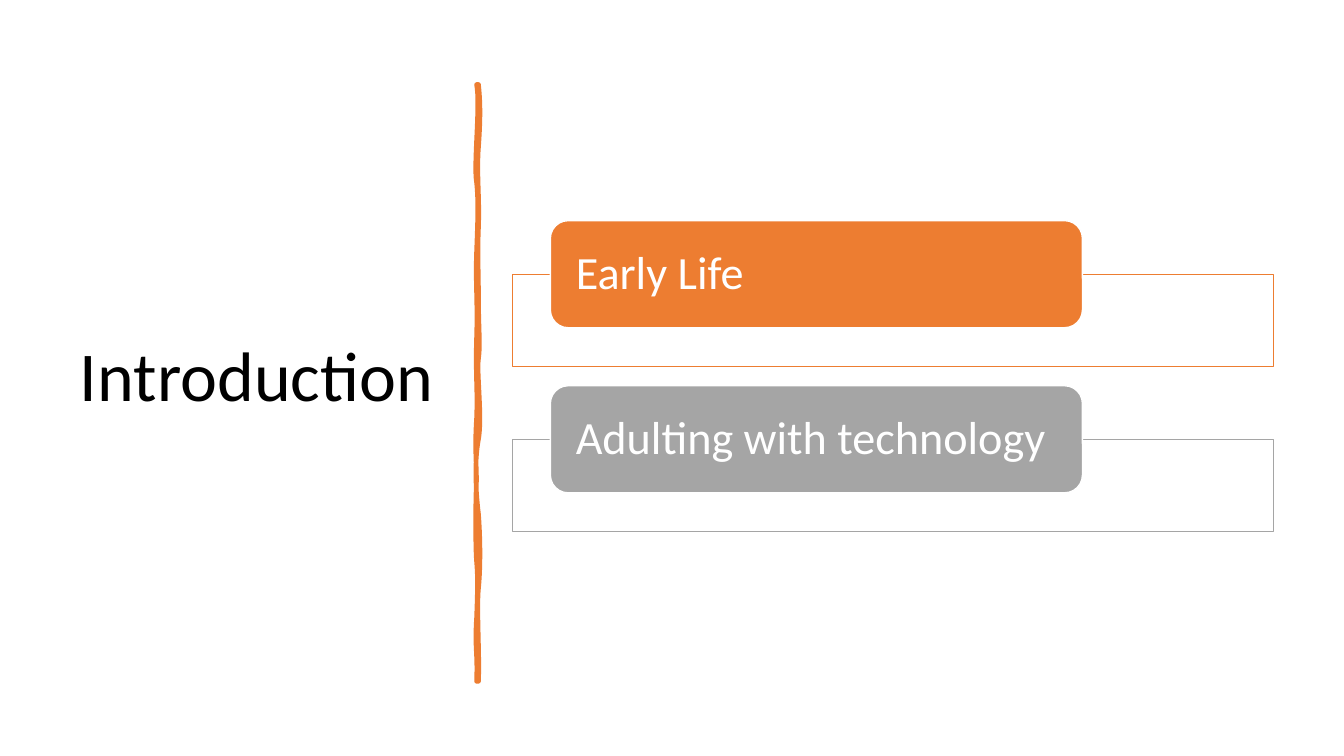
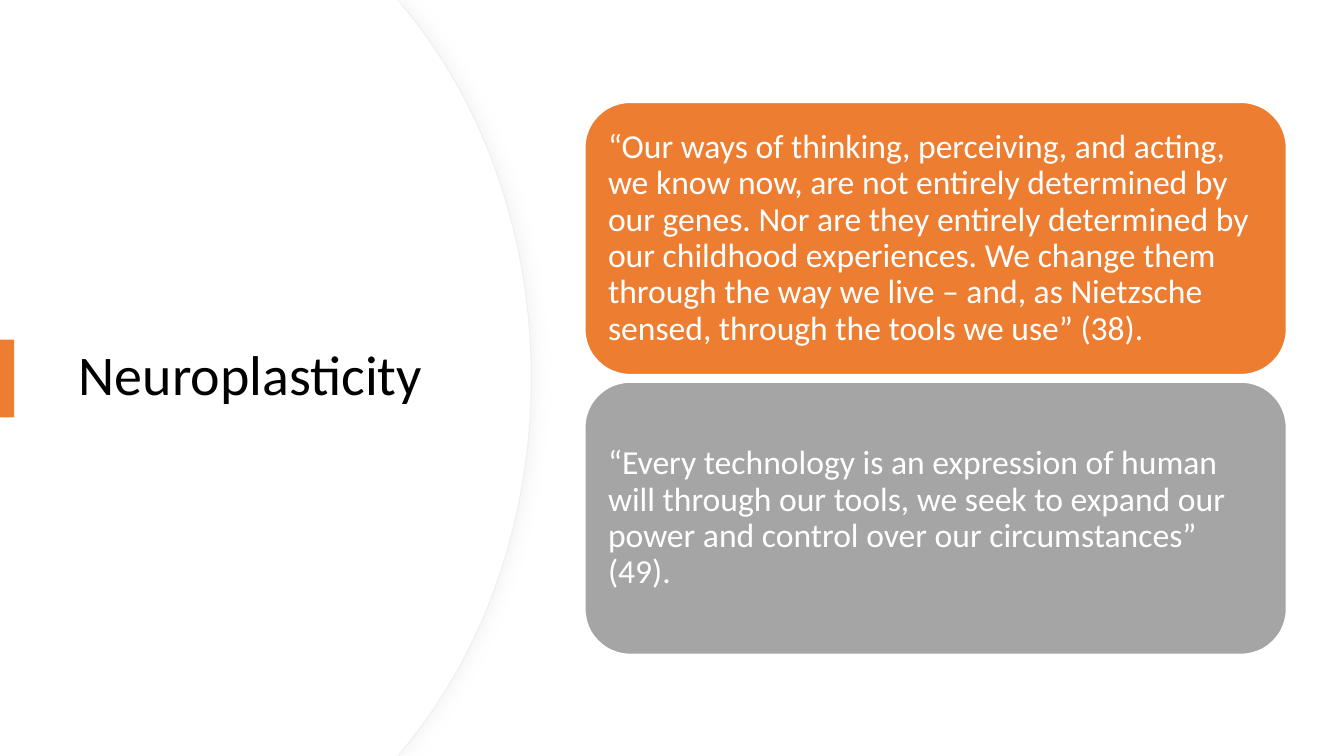
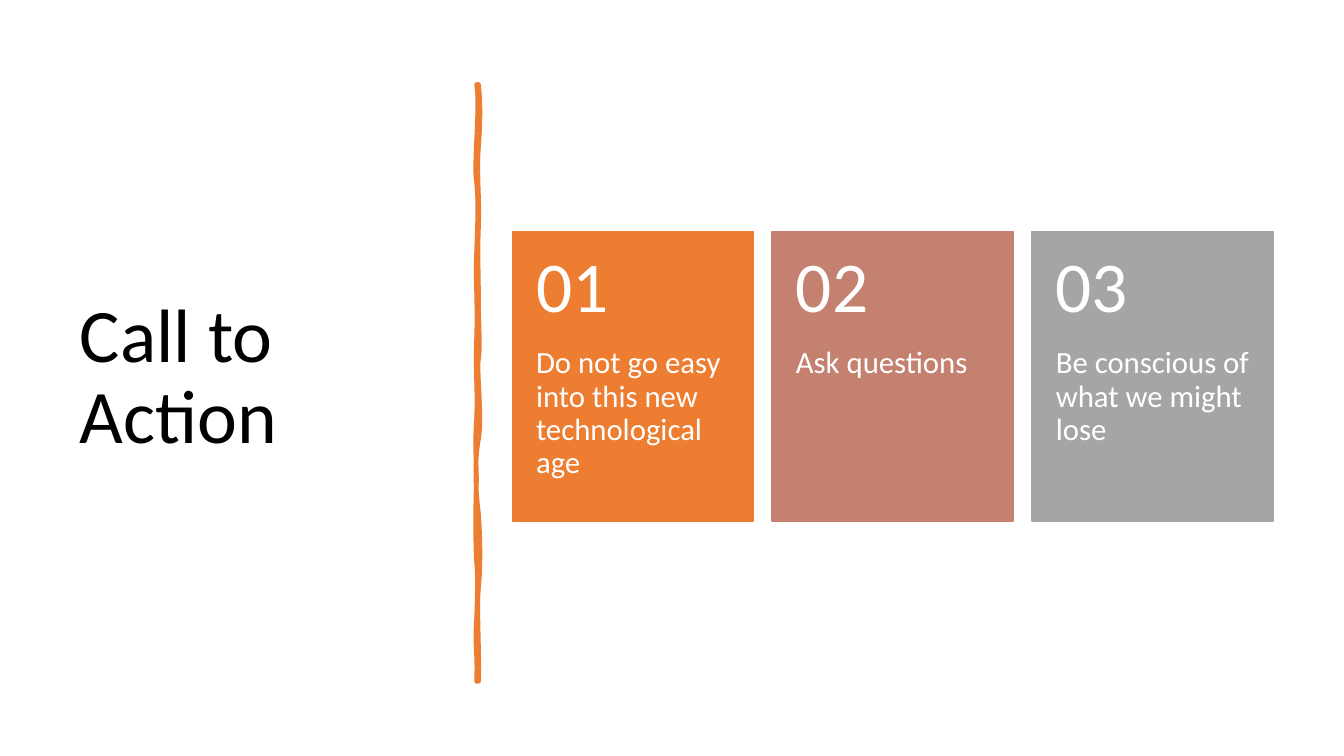
from lxml import etree
from pptx import Presentation
from pptx.dml.color import RGBColor
from pptx.enum.shapes import MSO_SHAPE
from pptx.enum.text import MSO_ANCHOR, MSO_AUTO_SIZE, PP_ALIGN
from pptx.oxml.ns import qn
from pptx.util import Cm, Pt

RECT, ROUNDED = MSO_SHAPE.RECTANGLE, MSO_SHAPE.ROUNDED_RECTANGLE
TOP, MIDDLE = MSO_ANCHOR.TOP, MSO_ANCHOR.MIDDLE
LEFT, NO_AUTOFIT = PP_ALIGN.LEFT, MSO_AUTO_SIZE.NONE

ORANGE = RGBColor(0xED, 0x7D, 0x31)
ROSE = RGBColor(0xC4, 0x81, 0x70)
GRAY = RGBColor(0xA5, 0xA5, 0xA5)
PALE_GRAY = RGBColor(0xEF, 0xEF, 0xEF)
WHITE = RGBColor(0xFF, 0xFF, 0xFF)
BLACK = RGBColor(0x00, 0x00, 0x00)

FONT = "Calibri"
LINE_SPACING = 0.9
SLIDE_W, SLIDE_H = 33.87, 19.05
CONTENT_LEFT = 12.91

# Title, size in points, left, top, width and height in cm
SLIDES = [
    ("Introduction", 50, (1.76, 1.78, 9.5, 15.52)),
    ("Neuroplasticity", 40, (1.73, 3.23, 10.01, 12.57)),
    ("Call to Action", 54, (1.76, 1.78, 9.5, 15.52)),
]

# Brush stroke edges: bend, height, bend, height of the two control points, end height
STROKE_TOP = 2.13
STROKE_EDGES = [
    (12.06, [
        (0.05, 2.59, 0.05, 3.02, 3.71), (-0.05, 4.39, 0.03, 4.95, 5.74),
        (-0.03, 6.53, 0, 6.65, 7.47), (0, 8.26, 0.05, 8.69, 9.04),
        (-0.05, 9.4, 0.1, 10.52, 11.07), (-0.1, 11.61, -0.08, 12.29, 12.95),
        (0.05, 13.61, 0.05, 14.33, 14.83), (-0.05, 15.32, 0.03, 16.51, 17.17),
    ]),
    (12.01, [
        (0.03, 16.41, -0.05, 16.36, 15.57), (0.03, 14.81, 0.03, 14.48, 14.15),
        (-0.03, 13.82, -0.03, 12.57, 12.12), (0, 11.66, -0.05, 11.3, 10.54),
        (0.03, 9.8, -0.03, 9.47, 8.51), (0.03, 7.57, -0.03, 7.14, 6.35),
        (0.03, 5.54, 0.05, 5.08, 4.6), (-0.08, 4.14, 0.1, 2.64, STROKE_TOP),
    ]),
]


def add_outline(slide, start, segments, fill, line=None, line_width=0):
    """Add a closed shape; a segment is its end point, or two control points and its end."""
    builder = slide.shapes.build_freeform(*map(Cm, start))
    builder.add_line_segments([tuple(map(Cm, segment[-1])) for segment in segments], close=True)
    outline = builder.convert_to_shape()
    line_elements = list(outline.element.spPr.iter(qn("a:lnTo")))
    for element, segment in zip(line_elements, segments):
        if len(segment) == 3:
            element.tag = qn("a:cubicBezTo")
            for index, (x, y) in enumerate(segment[:2]):
                control = etree.Element(qn("a:pt"), x=str(Cm(x) - outline.left),
                                        y=str(Cm(y) - outline.top))
                element.insert(index, control)
    outline.shadow.inherit = False
    outline.fill.solid()
    outline.fill.fore_color.rgb = fill
    if line is None:
        outline.line.fill.background()
    else:
        outline.line.color.rgb = line
        outline.line.width = Pt(line_width)
    return outline


def add_box(slide, kind, place, fill=None, line=None, text="", size=18,
            margins=(0, 0, 0, 0), anchor=MIDDLE):
    """Add a preset shape with white text, or a text box when kind is None."""
    lengths = [Cm(length) for length in place]
    if kind is None:
        box = slide.shapes.add_textbox(*lengths)
    else:
        box = slide.shapes.add_shape(kind, *lengths)
        box.shadow.inherit = False
        box.fill.solid()
        box.fill.fore_color.rgb = fill
        if line is None:
            box.line.fill.background()
        else:
            box.line.color.rgb = line
            box.line.width = Pt(1)
    if text:
        frame = box.text_frame
        sides = ("margin_left", "margin_top", "margin_right", "margin_bottom")
        layout = dict(zip(sides, map(Cm, margins)), word_wrap=True, vertical_anchor=anchor)
        for attribute, value in layout.items():
            setattr(frame, attribute, value)
        paragraph = frame.paragraphs[0]
        paragraph.text = text
        paragraph.alignment = LEFT
        paragraph.line_spacing = LINE_SPACING
        paragraph.font.name = FONT
        paragraph.font.size = Pt(size)
        paragraph.font.color.rgb = WHITE


prs = Presentation()
prs.slide_width, prs.slide_height = Cm(SLIDE_W), Cm(SLIDE_H)

# Titles
slides = []
for heading, size, place in SLIDES:
    slide = prs.slides.add_slide(prs.slide_layouts[5])
    title = slide.shapes.title
    title.left, title.top, title.width, title.height = map(Cm, place)
    title.text_frame.text = heading
    for attribute, value in {"word_wrap": True, "auto_size": NO_AUTOFIT,
                             "vertical_anchor": MIDDLE}.items():
        setattr(title.text_frame, attribute, value)
    paragraph = title.text_frame.paragraphs[0]
    paragraph.alignment = LEFT
    paragraph.line_spacing = LINE_SPACING
    paragraph.font.name = FONT
    paragraph.font.size = Pt(size)
    paragraph.font.color.rgb = BLACK
    slides.append(slide)
introduction, neuroplasticity, call_to_action = slides

# Brush stroke beside the title
stroke_segments = []
for edge_x, bends in STROKE_EDGES:
    if stroke_segments:
        stroke_segments.append([(edge_x, bends_end)])
    for bend_1, y_1, bend_2, y_2, end_y in bends:
        stroke_segments.append([(edge_x + bend_1, y_1), (edge_x + bend_2, y_2), (edge_x, end_y)])
    bends_end = end_y
for slide in (introduction, call_to_action):
    add_outline(slide, (STROKE_EDGES[0][0], STROKE_TOP), stroke_segments, ORANGE, ORANGE, 3.25)

# Introduction: topics on open frames
for index, (topic, color) in enumerate([("Early Life", ORANGE),
                                        ("Adulting with technology", GRAY)]):
    offset = index * 4.16
    add_box(introduction, RECT, (CONTENT_LEFT, 6.92 + offset, 19.18, 2.31), WHITE, color)
    add_box(introduction, ROUNDED, (13.87, 5.56 + offset, 13.41, 2.7), color, WHITE,
            topic, 33, (0.51, 0, 0.51, 0))

# Neuroplasticity: curved panel behind the title, then quotes
for right, line in ((13.39, PALE_GRAY), (13.36, None)):
    arc_x = right - 3.2
    bend_x = right - 1.22
    panel = add_outline(neuroplasticity, (0, 0), [
        [(10.01, 0)],
        [(arc_x, 0.2)],
        [(bend_x, 2.59), (right, 5.89), (right, SLIDE_H / 2)],
        [(right, SLIDE_H - 5.89), (bend_x, SLIDE_H - 2.59), (arc_x, SLIDE_H - 0.2)],
        [(10.01, SLIDE_H)],
        [(0, SLIDE_H)],
    ], WHITE, line, 0.75)
    if line is not None:
        effects = panel.element.spPr.find(qn("a:effectLst"))
        shadow = etree.SubElement(effects, qn("a:outerShdw"), blurRad=str(Pt(10)),
                                  dist=str(Pt(3)), dir="0", algn="l", rotWithShape="0")
        shadow_color = etree.SubElement(shadow, qn("a:srgbClr"), val="D9D9D9")
        etree.SubElement(shadow_color, qn("a:alpha"), val="25000")
    neuroplasticity.shapes.title.element.addprevious(panel.element)

add_box(neuroplasticity, RECT, (0, 8.56, 0.36, 1.96), ORANGE)
QUOTES = [
    ("“Our ways of thinking, perceiving, and acting, we know now, are not entirely determined by "
     "our genes. Nor are they entirely determined by our childhood experiences. We change them "
     "through the way we live – and, as Nietzsche sensed, through the tools we use” (38).", ORANGE),
    ("“Every technology is an expression of human will through our tools, we seek to expand our "
     "power and control over our circumstances” (49).", GRAY),
]
for index, (quote, color) in enumerate(QUOTES):
    add_box(neuroplasticity, ROUNDED, (14.74, 2.58 + index * 7.05, 17.68, 6.86), color, WHITE,
            quote, 24, (0.25, 0.25, 0.25, 0.25))

# Call to Action: numbered cards
ACTIONS = [
    ("Do not go easy into this new technological age", ORANGE),
    ("Ask questions", ROSE),
    ("Be conscious of what we might lose", GRAY),
]
for index, (action, color) in enumerate(ACTIONS):
    left = CONTENT_LEFT + index * 6.55
    add_box(call_to_action, RECT, (left, 5.84, 6.07, 7.29), color, color,
            action, 22, (0.6, 2.91, 0.6, 0.91), TOP)
    add_box(call_to_action, None, (left, 5.84, 6.07, 2.92), text=f"{index + 1:02}", size=51,
            margins=(0.6, 0.46, 0.6, 0.46))

prs.save("out.pptx")
